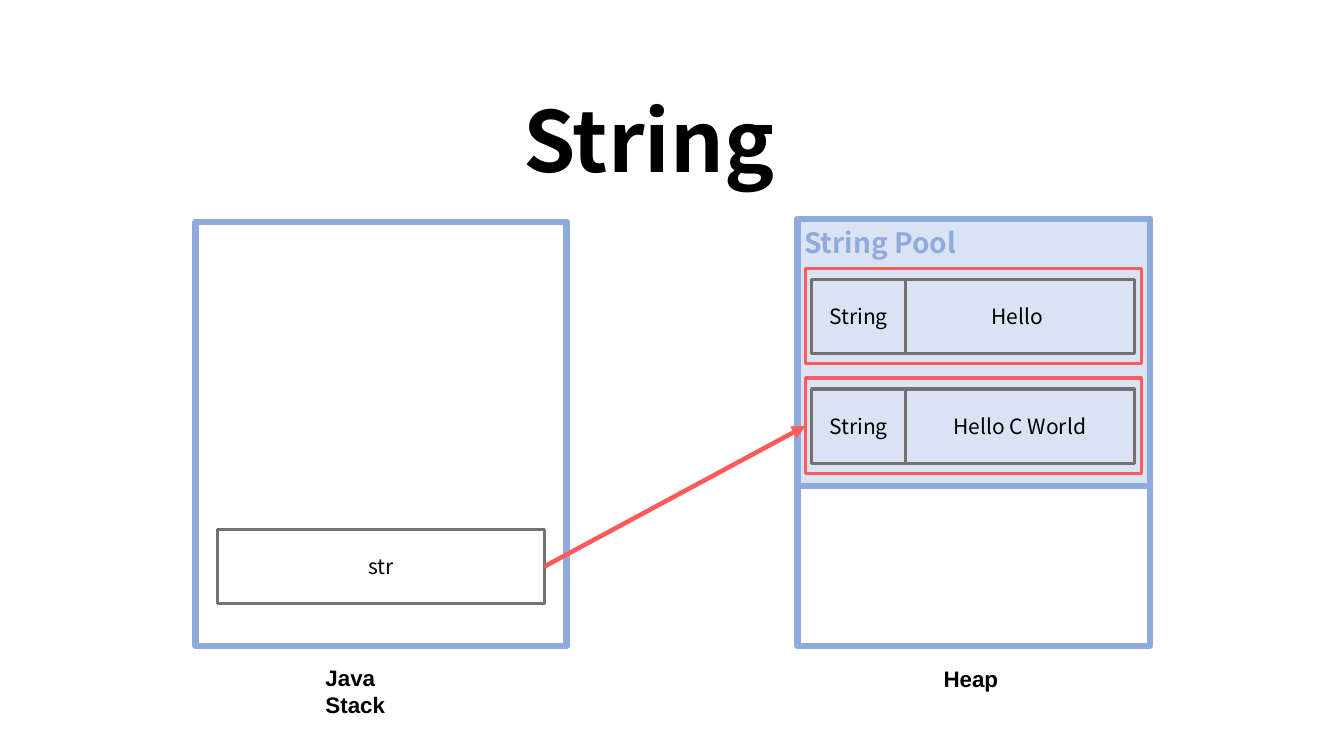
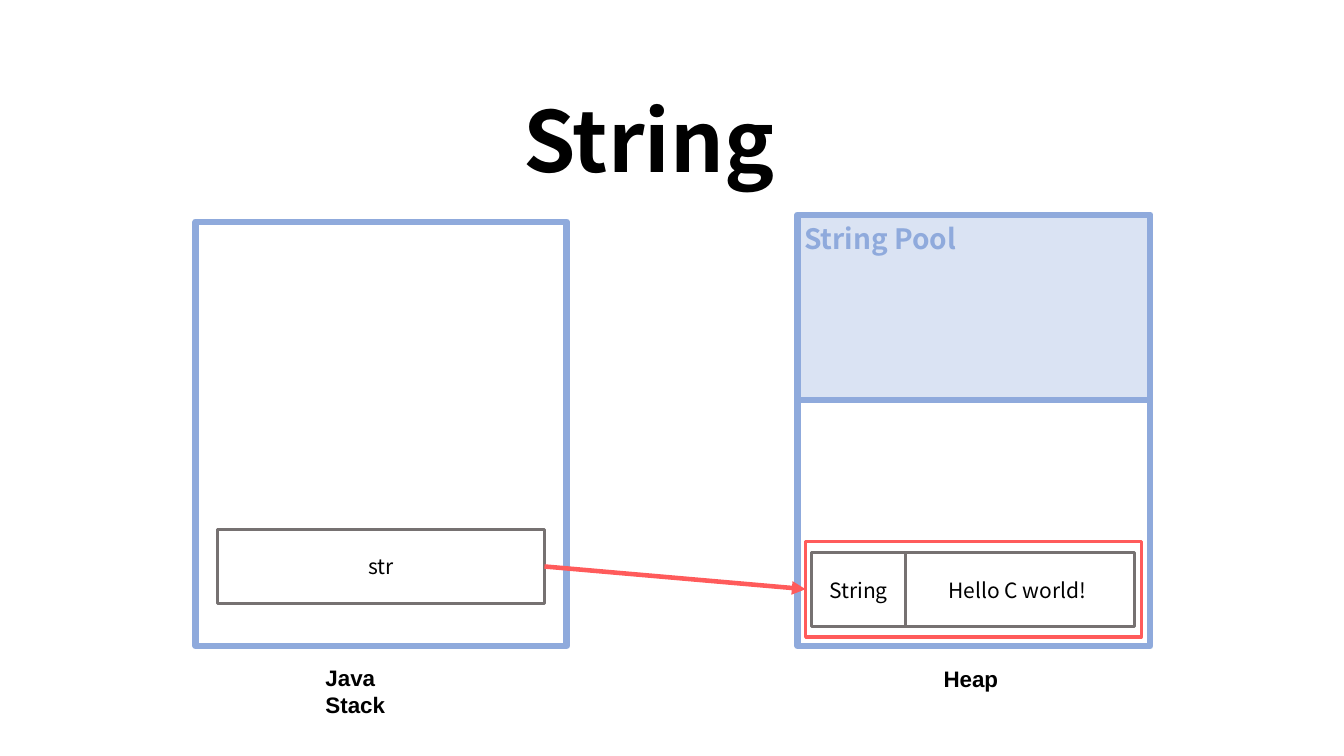
from dataclasses import dataclass
from typing import Optional

import pptx
import pptx.dml.color
import pptx.enum.shapes
import pptx.enum.text
import pptx.oxml
import pptx.oxml.ns
import pptx.util
from pptx.util import Inches

ALIGN = pptx.enum.text.PP_ALIGN
ANCHOR = pptx.enum.text.MSO_ANCHOR
LEFT_SITE, RIGHT_SITE = 1, 3


@dataclass(frozen=True)
class Theme:
    black: str = "000000"
    area: str = "8FAADC"
    pool: str = "DAE3F3"
    cell: str = "767171"
    accent: str = "FF5B5B"
    body_font: str = "Noto Sans CJK KR"
    label_font: str = "Arial"
    title_size: float = 60
    pool_size: float = 20
    label_size: float = 16
    cell_size: float = 15
    area_line: float = 4.5
    arrow_line: float = 3.25
    cell_line: float = 2.25


@dataclass(frozen=True)
class Box:
    left: float
    top: float
    width: float
    height: float

    def lengths(self) -> tuple:
        return tuple(Inches(n) for n in (self.left, self.top, self.width, self.height))


@dataclass(frozen=True)
class TextStyle:
    size: float
    font: str = Theme.body_font
    color: str = Theme.black
    bold: bool = False
    align: ALIGN = ALIGN.LEFT
    anchor: ANCHOR = ANCHOR.MIDDLE
    line_spacing: Optional[float] = None


@dataclass(frozen=True)
class StringObject:
    top: float
    value: str


@dataclass(frozen=True)
class MemorySlide:
    pool_top: float
    pool_height: float
    objects: tuple  # the stack variable refers to the last one


THEME = Theme()
TITLE = TextStyle(THEME.title_size, bold=True, line_spacing=0.9)
POOL_TITLE = TextStyle(THEME.pool_size, color=THEME.area, bold=True,
                       align=ALIGN.CENTER, line_spacing=0.9)
AREA_LABEL = TextStyle(THEME.label_size, THEME.label_font, bold=True, anchor=ANCHOR.TOP)
CELL = TextStyle(THEME.cell_size, align=ALIGN.CENTER)

STACK = Box(1.94, 2.2, 3.68, 4.21)
HEAP = Box(7.91, 2.2, 3.5, 4.21)
VARIABLE = Box(2.16, 5.25, 3.24, 0.74)

SLIDES = (
    MemorySlide(2.17, 2.65, (StringObject(2.66, "Hello "),
                             StringObject(3.75, "Hello C World"))),
    MemorySlide(2.13, 1.84, (StringObject(5.37, "Hello C world! "),)),
)


def rgb(value: str) -> pptx.dml.color.RGBColor:
    return pptx.dml.color.RGBColor.from_string(value)


def write(shape, text: str, style: TextStyle) -> None:
    frame = shape.text_frame
    frame.word_wrap = True
    frame.vertical_anchor = style.anchor
    paragraph = frame.paragraphs[0]
    paragraph.text = text
    paragraph.alignment = style.align
    if style.line_spacing:
        paragraph.line_spacing = style.line_spacing
    font = paragraph.font
    font.name = style.font
    font.size = pptx.util.Pt(style.size)
    font.bold = style.bold
    font.color.rgb = rgb(style.color)


def add_text(slide, box: Box, text: str, style: TextStyle) -> None:
    write(slide.shapes.add_textbox(*box.lengths()), text, style)


def add_rectangle(slide, box: Box, line: str, weight: float, fill: Optional[str] = None):
    shape = slide.shapes.add_shape(
        pptx.enum.shapes.MSO_SHAPE.RECTANGLE, *box.lengths())
    shape.shadow.inherit = False
    if fill:
        shape.fill.solid()
        shape.fill.fore_color.rgb = rgb(fill)
    else:
        shape.fill.background()
    shape.line.color.rgb = rgb(line)
    shape.line.width = pptx.util.Pt(weight)
    return shape


def add_cell(slide, box: Box, text: str):
    shape = add_rectangle(slide, box, THEME.cell, THEME.cell_line)
    write(shape, text, CELL)
    return shape


def add_string_object(slide, item: StringObject):
    """Draw the type and value cells inside a frame, and return the frame."""
    frame = add_rectangle(slide, Box(7.99, item.top, 3.33, 0.95),
                          THEME.accent, THEME.cell_line)
    cell_top = item.top + 0.11
    add_cell(slide, Box(8.05, cell_top, 0.93, 0.74), "String")
    add_cell(slide, Box(8.98, cell_top, 2.27, 0.74), item.value)
    return frame


def add_reference(slide, variable, target) -> None:
    """Draw the arrow from the stack variable to the object it refers to."""
    arrow = slide.shapes.add_connector(
        pptx.enum.shapes.MSO_CONNECTOR.STRAIGHT, 0, 0, 0, 0)
    arrow.begin_connect(variable, RIGHT_SITE)
    arrow.end_connect(target, LEFT_SITE)
    arrow.line.color.rgb = rgb(THEME.accent)
    arrow.line.width = pptx.util.Pt(THEME.arrow_line)
    line = arrow.line._get_or_add_ln()
    line.append(pptx.oxml.parse_xml(
        f'<a:tailEnd {pptx.oxml.ns.nsdecls("a")} type="triangle"/>'))
    line.addnext(pptx.oxml.parse_xml(f'<a:effectLst {pptx.oxml.ns.nsdecls("a")}/>'))


def add_memory_slide(presentation, content: MemorySlide) -> None:
    slide = presentation.slides.add_slide(presentation.slide_layouts[6])
    add_text(slide, Box(5.09, 0.94, 3.15, 1), "String", TITLE)
    for area in (STACK, HEAP):
        add_rectangle(slide, area, THEME.area, THEME.area_line)
    add_text(slide, Box(3.13, 6.54, 1.3, 0.37), "Java Stack", AREA_LABEL)
    add_text(slide, Box(9.26, 6.55, 0.76, 0.37), "Heap", AREA_LABEL)
    variable = add_cell(slide, VARIABLE, "str")

    pool = Box(HEAP.left, content.pool_top, HEAP.width, content.pool_height)
    add_rectangle(slide, pool, THEME.area, THEME.area_line, THEME.pool)
    add_text(slide, Box(7.84, pool.top, 1.78, 0.51), "String Pool", POOL_TITLE)

    frames = [add_string_object(slide, item) for item in content.objects]
    add_reference(slide, variable, frames[-1])


def main() -> None:
    presentation = pptx.Presentation()
    presentation.slide_width = Inches(13.33)
    presentation.slide_height = Inches(7.5)
    for content in SLIDES:
        add_memory_slide(presentation, content)
    presentation.save("out.pptx")


if __name__ == "__main__":
    main()
